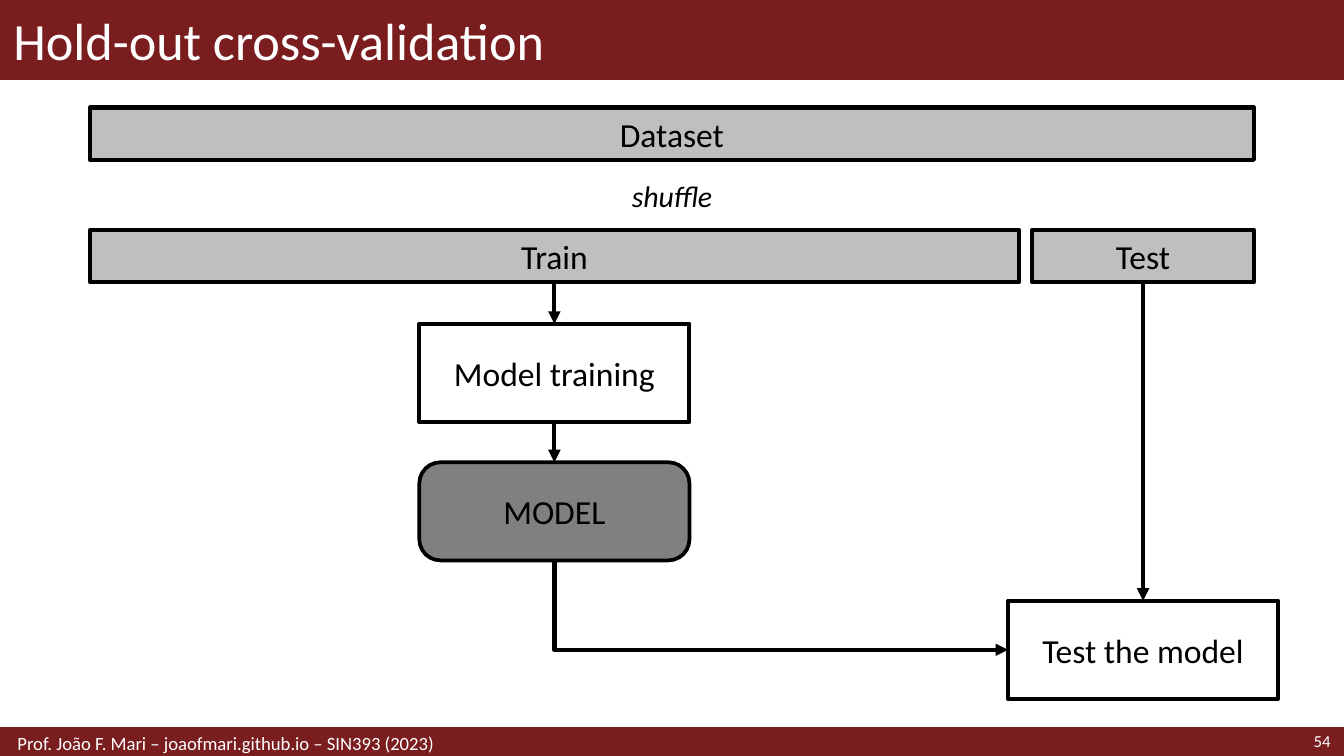
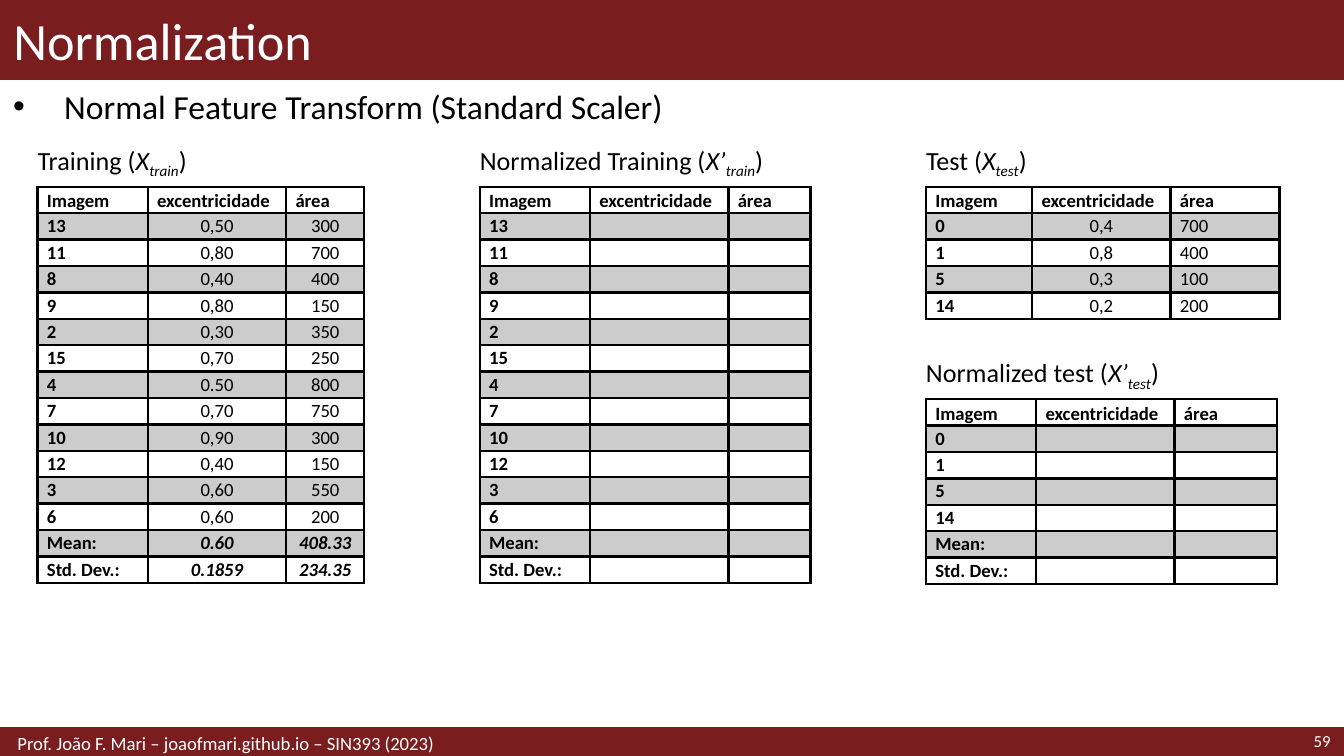
import pptx
import pptx.dml.color
import pptx.enum.shapes
import pptx.enum.text
import pptx.oxml.ns
import pptx.util
from lxml import etree

Inches = pptx.util.Inches
Pt = pptx.util.Pt
RGBColor = pptx.dml.color.RGBColor
SHAPE = pptx.enum.shapes.MSO_SHAPE
CONNECTOR = pptx.enum.shapes.MSO_CONNECTOR
ALIGN = pptx.enum.text.PP_ALIGN
ANCHOR = pptx.enum.text.MSO_ANCHOR
qn = pptx.oxml.ns.qn

BLACK = RGBColor(0x00, 0x00, 0x00)
WHITE = RGBColor(0xFF, 0xFF, 0xFF)
MAROON = RGBColor(0x79, 0x1D, 0x1F)
LIGHT_GRAY = RGBColor(0xBF, 0xBF, 0xBF)
MID_GRAY = RGBColor(0x80, 0x80, 0x80)

FONT = "Calibri"
WIDTH = 10
HEIGHT = WIDTH * 9 / 16
TITLE_BOX = (0, 0, WIDTH, 0.59)
FOOTER_BOX = (0, 5.42, WIDTH, 0.21)
FOOTER = "Prof. João F. Mari – joaofmari.github.io – SIN393 (2023)"

BLOCKS = {
    "Dataset": (SHAPE.RECTANGLE, (0.67, 0.8, 8.66, 0.39), LIGHT_GRAY, 2.25),
    "Train": (SHAPE.RECTANGLE, (0.67, 1.71, 6.91, 0.39), LIGHT_GRAY, 2.25),
    "Test": (SHAPE.RECTANGLE, (7.68, 1.71, 1.65, 0.39), LIGHT_GRAY, 2.25),
    "Model training": (SHAPE.RECTANGLE, (3.12, 2.41, 2.01, 0.73), None, 2.25),
    "MODEL": (SHAPE.ROUNDED_RECTANGLE, (3.12, 3.44, 2.01, 0.73), MID_GRAY, 2),
    "Test the model": (SHAPE.RECTANGLE, (7.5, 4.47, 2.01, 0.73), None, 2.25),
}
ARROWS = [
    ("Train", "Model training"),
    ("Model training", "MODEL"),
    ("Test", "Test the model"),
]
TOP, LEFT_SIDE, BOTTOM = 0, 1, 2

HEADER = ("Imagem", "excentricidade", "área")
TRAINING = [
    ("13", "0,50", "300"), ("11", "0,80", "700"), ("8", "0,40", "400"),
    ("9", "0,80", "150"), ("2", "0,30", "350"), ("15", "0,70", "250"),
    ("4", "0.50", "800"), ("7", "0,70", "750"), ("10", "0,90", "300"),
    ("12", "0,40", "150"), ("3", "0,60", "550"), ("6", "0,60", "200"),
]
TRAINING_SUMMARY = [("Mean:", "0.60", "408.33"), ("Std. Dev.:", "0.1859", "234.35")]
TEST = [("0", "0,4", "700"), ("1", "0,8", "400"), ("5", "0,3", "100"), ("14", "0,2", "200")]


def without_values(rows):
    return [(row[0], "", "") for row in rows]


TABLES = [
    {"caption": ("Training (", "X", "train"), "at": (0.28, 1.05), "caption_width": 2.58,
     "columns": (0.82, 1.03, 0.58), "rows": TRAINING + TRAINING_SUMMARY,
     "area_align": ALIGN.CENTER},
    {"caption": ("Normalized Training (", "X’", "train"), "at": (3.57, 1.05),
     "caption_width": 2.91, "columns": (0.82, 1.03, 0.61),
     "rows": without_values(TRAINING + TRAINING_SUMMARY), "area_align": ALIGN.CENTER},
    {"caption": ("Test (", "X", "test"), "at": (6.89, 1.05), "caption_width": 1.59,
     "columns": (0.79, 1.03, 0.81), "rows": TEST, "area_align": ALIGN.LEFT},
    {"caption": ("Normalized test (", "X’", "test"), "at": (6.89, 2.63),
     "caption_width": 2.73, "columns": (0.82, 1.03, 0.76),
     "rows": without_values(TEST + TRAINING_SUMMARY), "area_align": ALIGN.CENTER},
]
CAPTION_HEIGHT = 0.31
TABLE_OFFSET = 0.34
ROW_HEIGHT = Inches(2.95) // 15


def inches(box):
    return [Inches(value) for value in box]


def apply(target, values):
    for name, value in values.items():
        setattr(target, name, value)


def add_run(paragraph, text, size, color=BLACK, **styles):
    run = paragraph.add_run()
    run.text = text
    run.font.color.rgb = color
    apply(run.font, {"name": FONT, "size": Pt(size), **styles})
    return run


def add_block(slide, kind, box, fill, line_color, line_width):
    shape = slide.shapes.add_shape(kind, *inches(box))
    shape.shadow.inherit = False
    if fill is None:
        shape.fill.background()
    else:
        shape.fill.solid()
        shape.fill.fore_color.rgb = fill
    shape.line.color.rgb = line_color
    shape.line.width = Pt(line_width)
    return shape


def add_text(slide, box, **frame_values):
    frame = slide.shapes.add_textbox(*inches(box)).text_frame
    apply(frame, {"word_wrap": True, **frame_values})
    return frame.paragraphs[0]


def add_slide(presentation, title_text, number):
    slide = presentation.slides.add_slide(presentation.slide_layouts[5])
    title = slide.shapes.title
    for box, line_width in ((TITLE_BOX, 1), (FOOTER_BOX, 2)):
        band = add_block(slide, SHAPE.RECTANGLE, box, MAROON, MAROON, line_width)
        title.element.addprevious(band.element)
    apply(title, dict(zip(("left", "top", "width", "height"), inches(TITLE_BOX))))
    apply(title.text_frame, {"vertical_anchor": ANCHOR.MIDDLE, "word_wrap": True,
                             "auto_size": pptx.enum.text.MSO_AUTO_SIZE.NONE})
    paragraph = title.text_frame.paragraphs[0]
    paragraph.alignment = ALIGN.LEFT
    add_run(paragraph, title_text, 28, WHITE)
    paragraph = add_text(slide, (8.86, 5.41, 1.14, 0.21), vertical_anchor=ANCHOR.MIDDLE)
    paragraph.alignment = ALIGN.RIGHT
    add_run(paragraph, str(number), 9, WHITE)
    paragraph = add_text(slide, (0, 5.42, 6.89, 0.21), vertical_anchor=ANCHOR.MIDDLE,
                         margin_left=Inches(0.13))
    add_run(paragraph, FOOTER, 10, WHITE)
    return slide


def add_arrow(slide, kind, start, start_site, end, end_site):
    arrow = slide.shapes.add_connector(kind, 0, 0, 0, 0)
    arrow.begin_connect(start, start_site)
    arrow.end_connect(end, end_site)
    arrow.line.color.rgb = BLACK
    arrow.line.width = Pt(2.25)
    properties = arrow.element.spPr
    etree.SubElement(properties.find(qn("a:ln")), qn("a:tailEnd"), type="triangle")
    etree.SubElement(properties, qn("a:effectLst"))
    return arrow


def turn_corner(arrow):
    center_x = arrow.left + arrow.width // 2
    center_y = arrow.top + arrow.height // 2
    width, height = arrow.height, arrow.width
    apply(arrow, {"left": center_x - width // 2, "top": center_y - height // 2,
                  "width": width, "height": height})
    properties = arrow.element.spPr
    properties.find(qn("a:prstGeom")).set("prst", "bentConnector2")
    transform = properties.find(qn("a:xfrm"))
    transform.set("rot", "16200000")
    transform.set("flipH", "1")


def build_hold_out(presentation):
    slide = add_slide(presentation, "Hold-out cross-validation", 54)
    blocks = {}
    for label, (kind, box, fill, line_width) in BLOCKS.items():
        block = blocks[label] = add_block(slide, kind, box, fill, BLACK, line_width)
        block.text_frame.vertical_anchor = ANCHOR.MIDDLE
        paragraph = block.text_frame.paragraphs[0]
        paragraph.alignment = ALIGN.CENTER
        add_run(paragraph, label, 18)
    blocks["MODEL"].adjustments[0] = 0.215
    for start, end in ARROWS:
        add_arrow(slide, CONNECTOR.STRAIGHT, blocks[start], BOTTOM, blocks[end], TOP)
    turn_corner(add_arrow(slide, CONNECTOR.ELBOW, blocks["MODEL"], BOTTOM,
                          blocks["Test the model"], LEFT_SIDE))
    paragraph = add_text(slide, (4.59, 1.27, 0.82, 0.37), word_wrap=False)
    paragraph.alignment = ALIGN.CENTER
    add_run(paragraph, "shuffle", 16, italic=True)


def format_cell(cell, shaded):
    properties = cell._tc.get_or_add_tcPr()
    for side in ("a:lnL", "a:lnR", "a:lnT", "a:lnB"):
        border = etree.SubElement(properties, qn(side), w=str(Pt(1.5)))
        fill = etree.SubElement(border, qn("a:solidFill"))
        etree.SubElement(fill, qn("a:srgbClr"), val=str(BLACK))
    if shaded:
        cell.fill.solid()
        cell.fill.fore_color.rgb = BLACK
        color = properties.find(qn("a:solidFill")).find(qn("a:srgbClr"))
        etree.SubElement(color, qn("a:alpha"), val="20000")
    else:
        cell.fill.background()
    apply(cell, {"margin_left": Inches(0.07), "margin_right": Inches(0.07),
                 "margin_top": 0, "margin_bottom": 0})


def fill_cell(cell, text, row, column, area_align, summary):
    paragraph = cell.text_frame.paragraphs[0]
    if row == 0:
        apply(paragraph, {"alignment": ALIGN.JUSTIFY, "line_spacing": 1.15})
    else:
        cell.vertical_anchor = ANCHOR.MIDDLE
        paragraph.alignment = (ALIGN.LEFT, ALIGN.CENTER, area_align)[column]
    if text:
        add_run(paragraph, text, 10, bold=row == 0 or column == 0 or summary,
                italic=summary and column > 0)
    else:
        etree.SubElement(paragraph._p, qn("a:endParaRPr"), sz="1000")


def add_data_table(slide, data):
    left, top = data["at"]
    prefix, symbol, subscript = data["caption"]
    paragraph = add_text(slide, (left, top, data["caption_width"], CAPTION_HEIGHT),
                         margin_left=0, vertical_anchor=ANCHOR.MIDDLE)
    add_run(paragraph, prefix, 14)
    add_run(paragraph, symbol, 14, italic=True)
    run = add_run(paragraph, subscript, 14, italic=True)
    run.font._element.set("baseline", "-25000")
    add_run(paragraph, ")", 14)

    rows = [HEADER] + data["rows"]
    table = slide.shapes.add_table(
        len(rows), len(HEADER), Inches(left), Inches(top + TABLE_OFFSET),
        Inches(sum(data["columns"])), ROW_HEIGHT * len(rows)).table
    apply(table, {"first_row": False, "horz_banding": False})
    for column, width in zip(table.columns, data["columns"]):
        column.width = Inches(width)
    for row, values in enumerate(rows):
        table.rows[row].height = ROW_HEIGHT
        summary = values[0].endswith(":")
        for column, text in enumerate(values):
            cell = table.cell(row, column)
            format_cell(cell, shaded=row % 2 == 1)
            fill_cell(cell, text, row, column, data["area_align"], summary)


def build_normalization(presentation):
    slide = add_slide(presentation, "Normalization", 59)
    paragraph = add_text(slide, (0, 0.59, WIDTH, 4.82))
    properties = paragraph._p.get_or_add_pPr()
    properties.set("marL", str(Inches(0.38)))
    properties.set("indent", str(-Inches(0.38)))
    etree.SubElement(properties, qn("a:buFont"), typeface="Arial")
    etree.SubElement(properties, qn("a:buChar"), char="•")
    add_run(paragraph, "Normal Feature Transform (Standard Scaler)", 18)
    for data in TABLES:
        add_data_table(slide, data)


def main():
    presentation = pptx.Presentation()
    apply(presentation, {"slide_width": Inches(WIDTH), "slide_height": Inches(HEIGHT)})
    build_hold_out(presentation)
    build_normalization(presentation)
    presentation.save("out.pptx")


if __name__ == "__main__":
    main()
